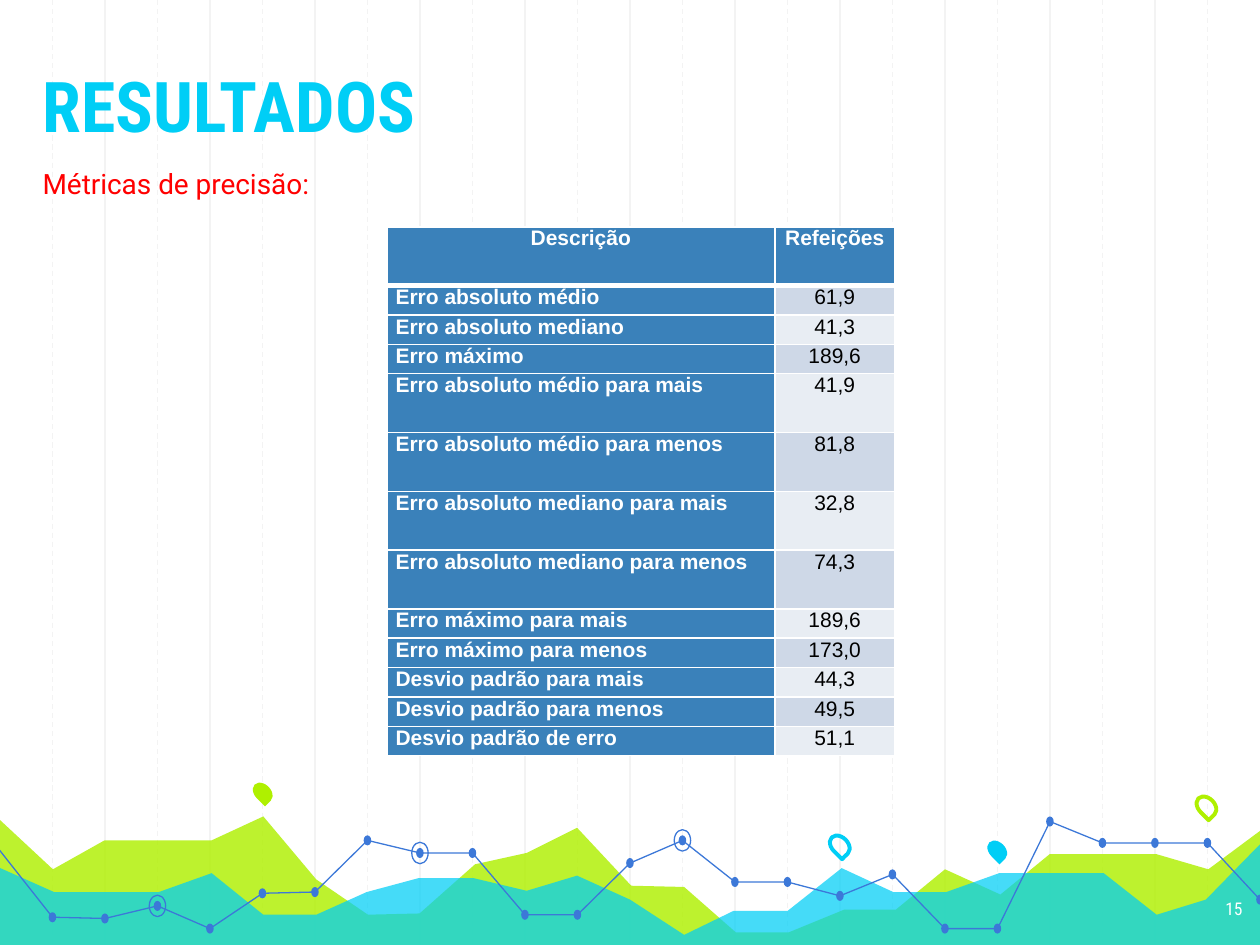
from lxml import etree
from pptx import Presentation
from pptx.dml.color import RGBColor
from pptx.enum.dml import MSO_LINE
from pptx.enum.shapes import MSO_CONNECTOR, MSO_SHAPE
from pptx.enum.text import MSO_ANCHOR, PP_ALIGN
from pptx.oxml.ns import qn
from pptx.util import Inches, Pt

COLORS = {
    "white": "FFFFFF", "black": "000000", "red": "FF0000", "grid": "F3F3F3",
    "lime": "AFF000", "cyan": "00CEF6", "blue": "3C78D8",
    "header": "3A81BA", "band_dark": "CED8E7", "band_light": "E8EDF3",
}
WIDTH, HEIGHT = 10, 7.5
GRID_STEP = WIDTH / 24

TITLE = "RESULTADOS"
SUBTITLE = "Métricas de precisão:"
PAGE_NUMBER = "15"

# description, value, height in row units
ROWS = [
    ("Descrição", "Refeições", 2),
    ("Erro absoluto médio", "61,9", 1),
    ("Erro absoluto mediano", "41,3", 1),
    ("Erro máximo", "189,6", 1),
    ("Erro absoluto médio para mais", "41,9", 2),
    ("Erro absoluto médio para menos", "81,8", 2),
    ("Erro absoluto mediano para mais", "32,8", 2),
    ("Erro absoluto mediano para menos", "74,3", 2),
    ("Erro máximo para mais", "189,6", 1),
    ("Erro máximo para menos", "173,0", 1),
    ("Desvio padrão para mais", "44,3", 1),
    ("Desvio padrão para menos", "49,5", 1),
    ("Desvio padrão de erro", "51,1", 1),
]
TABLE_LEFT, TABLE_TOP, TABLE_HEIGHT = 3.07, 1.8, 4.2
COLUMN_WIDTHS = (3.08, 0.95)

# color, opacity in percent, outline points
AREAS = [
    ("lime", 82, [
        (-0.02, 6.49), (0.42, 6.9), (0.83, 6.67), (1.68, 6.67), (2.09, 6.48),
        (2.51, 6.98), (2.92, 7.26), (3.33, 7.25), (3.77, 6.86), (4.18, 6.77),
        (4.58, 6.57), (5.01, 7.03), (5.43, 7.04), (5.84, 7.4), (6.26, 7.4),
        (6.7, 7.22), (7.11, 7.22), (7.5, 6.9), (7.94, 7.1), (8.33, 6.78),
        (9.18, 6.78), (9.59, 6.9), (10.02, 6.58), (10.02, 7.52), (-0.03, 7.52)]),
    ("cyan", 73, [
        (-0.02, 6.88), (0.43, 7.08), (1.26, 7.08), (1.68, 6.93), (2.09, 7.26),
        (2.51, 7.26), (2.91, 7.08), (3.32, 6.97), (3.76, 6.97), (4.18, 7.07),
        (4.58, 6.95), (5, 7.14), (5.43, 7.42), (5.82, 7.23), (6.25, 7.23),
        (6.68, 6.89), (7.09, 7.08), (7.51, 7.08), (7.93, 6.93), (8.76, 6.93),
        (9.18, 7.26), (9.57, 7.14), (10.02, 6.68), (10.02, 7.53), (-0.03, 7.53)]),
]

# one dot on each grid line
DOT_HEIGHTS = [
    7.28, 7.29, 7.19, 7.37, 7.09, 7.08, 6.67, 6.77, 6.77, 7.26, 7.26, 6.85,
    6.67, 7.0, 7.0, 7.11, 6.94, 7.37, 7.37, 6.52, 6.69, 6.69, 6.69, 7.14,
]
CURVE_START = (-0.01, 6.74)
CURVE_BREAKS = [0, 11, 20, 24]
RINGED_DOTS = [7, 2, 12]
DOT_SIZE, RING_SIZE, DROP_SIZE = (0.06, 0.08), (0.13, 0.17), (0.13, 0.18)

# left, top, color, filled
DROPS = [
    (2.02, 6.2, "lime", True), (6.6, 6.62, "cyan", False),
    (7.85, 6.66, "cyan", True), (9.51, 6.31, "lime", False),
]


def rgb(name):
    return RGBColor.from_string(COLORS[name])


def write(frame, text, size, font, color, bold=False, align=PP_ALIGN.LEFT,
          anchor=MSO_ANCHOR.TOP, wrap=True):
    frame.word_wrap = wrap
    frame.vertical_anchor = anchor
    frame.margin_left = frame.margin_right = Inches(0.1)
    frame.margin_top = frame.margin_bottom = Inches(0.1 if wrap else 0.05)
    frame.text = text
    style_paragraph(frame.paragraphs[0], size, font, color, bold, align)


def style_paragraph(paragraph, size, font, color, bold, align):
    paragraph.alignment = align
    run_font = paragraph.runs[0].font
    run_font.size, run_font.name, run_font.bold = Pt(size), font, bold
    run_font.color.rgb = rgb(color)


def paint(shape, fill=None, line=None, line_width=0.75):
    shape.shadow.inherit = False
    if fill:
        shape.fill.solid()
        shape.fill.fore_color.rgb = rgb(fill)
    else:
        shape.fill.background()
    if line:
        shape.line.color.rgb = rgb(line)
        shape.line.width = Pt(line_width)
    else:
        shape.line.fill.background()


def add_preset(slide, kind, left, top, size, **style):
    width, height = size
    shape = slide.shapes.add_shape(
        kind, Inches(left), Inches(top), Inches(width), Inches(height))
    paint(shape, **style)
    return shape


def add_oval(slide, center, size, **style):
    (x, y), (width, height) = center, size
    add_preset(slide, MSO_SHAPE.OVAL, x - width / 2, y - height / 2, size, **style)


def add_outline(slide, points, close):
    points = [(Inches(x), Inches(y)) for x, y in points]
    builder = slide.shapes.build_freeform(*points[0])
    builder.add_line_segments(points[1:], close=close)
    return builder.convert_to_shape()


def add_grid(slide):
    """Solid lines on even steps, then dashed lines on odd steps."""
    for step in [*range(2, 24, 2), *range(1, 24, 2)]:
        x = Inches(step * GRID_STEP)
        line = slide.shapes.add_connector(
            MSO_CONNECTOR.STRAIGHT, x, 0, x, Inches(HEIGHT))
        line.line.color.rgb = rgb("grid")
        line.line.width = Pt(0.75)
        if step % 2:
            line.line.dash_style = MSO_LINE.DASH
        etree.SubElement(line._element.spPr, qn("a:effectLst"))


def add_areas(slide):
    for color, opacity, points in AREAS:
        area = add_outline(slide, points, close=True)
        paint(area, fill=color)
        color_element = area._element.spPr.find(qn("a:solidFill"))[0]
        etree.SubElement(color_element, qn("a:alpha"), val=str(opacity * 1000))


def add_curve(slide):
    dots = [((i + 1) * GRID_STEP, y) for i, y in enumerate(DOT_HEIGHTS)]
    points = [CURVE_START] + dots
    for first, last in zip(CURVE_BREAKS, CURVE_BREAKS[1:]):
        paint(add_outline(slide, points[first:last + 1], close=False), line="blue")
    for dot in dots:
        add_oval(slide, dot, DOT_SIZE, fill="blue")
    for index in RINGED_DOTS:
        add_oval(slide, dots[index], RING_SIZE, line="blue")


def add_drops(slide):
    for left, top, color, filled in DROPS:
        style = {"fill": color} if filled else {"line": color, "line_width": 2.25}
        drop = add_preset(slide, MSO_SHAPE.TEAR, left, top, DROP_SIZE, **style)
        drop.rotation = 135


def set_border(cell, side, points):
    line = etree.SubElement(cell._tc.get_or_add_tcPr(), qn(f"a:ln{side}"),
                            w=str(int(Pt(points))))
    fill = etree.SubElement(line, qn("a:solidFill"))
    etree.SubElement(fill, qn("a:srgbClr"), val=COLORS["white"])


def add_metrics_table(slide):
    table = slide.shapes.add_table(
        len(ROWS), 2, Inches(TABLE_LEFT), Inches(TABLE_TOP),
        Inches(sum(COLUMN_WIDTHS)), Inches(TABLE_HEIGHT)).table
    for column, width in zip(table.columns, COLUMN_WIDTHS):
        column.width = Inches(width)
    unit = TABLE_HEIGHT / sum(units for _, _, units in ROWS)
    for i, (description, value, units) in enumerate(ROWS):
        table.rows[i].height = Inches(units * unit)
        for j, text in enumerate((description, value)):
            cell = table.cell(i, j)
            heading = i == 0 or j == 0
            band = "band_dark" if i % 2 else "band_light"
            for side in "LRTB":
                thick = (i, side) in ((0, "B"), (1, "T"))
                set_border(cell, side, 3 if thick else 1)
            cell.fill.solid()
            cell.fill.fore_color.rgb = rgb("header" if heading else band)
            cell.margin_left = cell.margin_right = Inches(0.07)
            cell.margin_top = cell.margin_bottom = 0
            cell.text = text
            style_paragraph(cell.text_frame.paragraphs[0], 12, "Arial",
                            "white" if heading else "black", heading,
                            PP_ALIGN.CENTER if i == 0 or j else PP_ALIGN.LEFT)


def add_texts(slide):
    number = slide.shapes.add_textbox(Inches(9.36), Inches(7.04), Inches(0.6), Inches(0.46))
    write(number.text_frame, PAGE_NUMBER, 10, "Roboto Condensed", "white", align=PP_ALIGN.RIGHT)
    subtitle = slide.shapes.add_textbox(Inches(0.24), Inches(1.27), Inches(2.34), Inches(0.37))
    write(subtitle.text_frame, SUBTITLE, 16, "Roboto", "red", wrap=False)
    title = slide.shapes.title
    title.left, title.top = Inches(0.24), Inches(0.22)
    title.width, title.height = Inches(5.93), Inches(1.04)
    write(title.text_frame, TITLE, 40, "Roboto Condensed", "cyan", bold=True,
          anchor=MSO_ANCHOR.BOTTOM)
    slide.shapes._spTree.append(title._element)  # in front of the grid


presentation = Presentation()
presentation.slide_width, presentation.slide_height = Inches(WIDTH), Inches(HEIGHT)
slide = presentation.slides.add_slide(presentation.slide_layouts[5])
for add_part in (add_grid, add_areas, add_curve, add_drops, add_texts, add_metrics_table):
    add_part(slide)
presentation.save("out.pptx")
